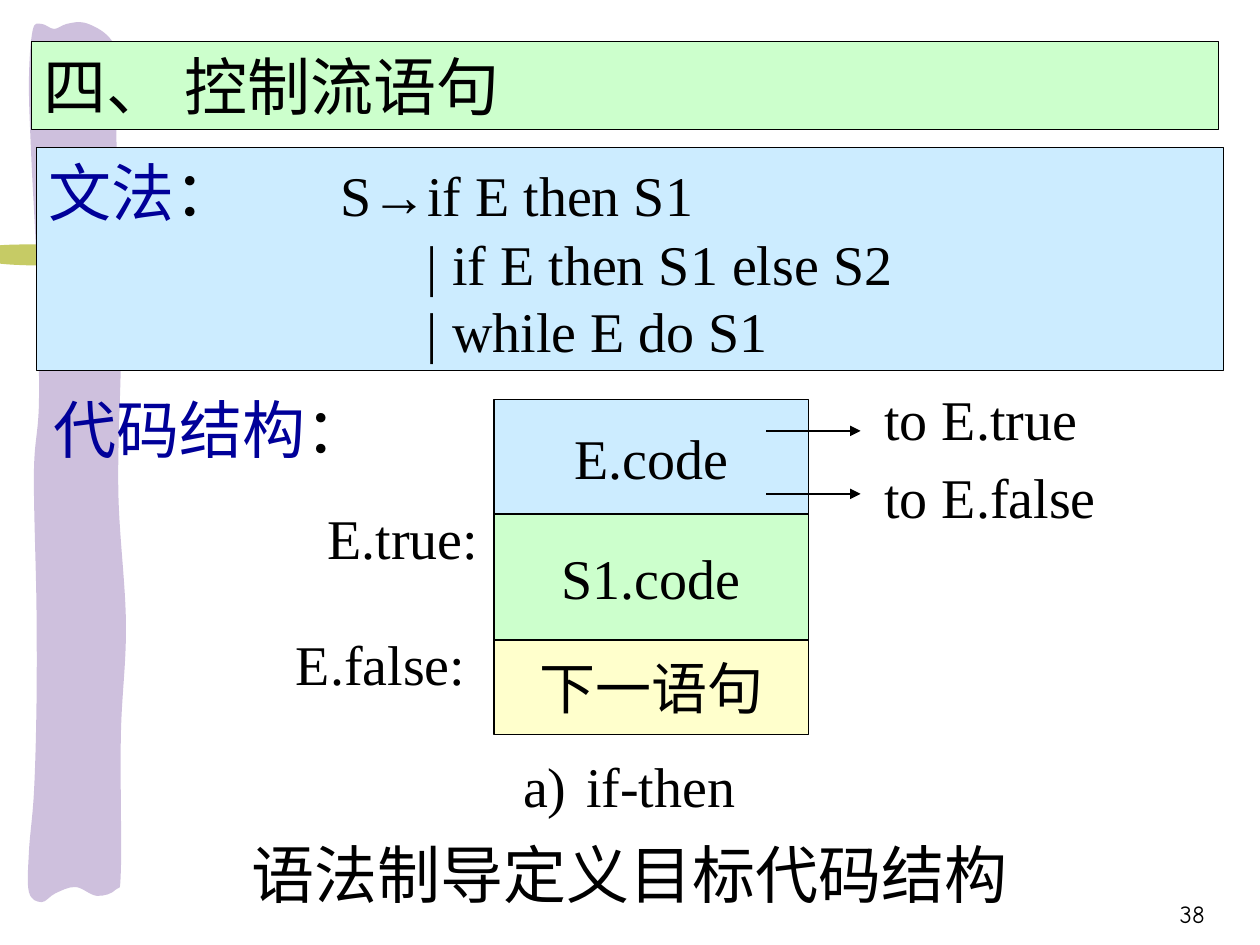
from dataclasses import dataclass

from lxml import etree
from pptx import Presentation
from pptx import util as u
from pptx.dml.color import RGBColor
from pptx.enum import shapes, text
from pptx.oxml.ns import qn


@dataclass(frozen=True)
class Theme:
    black: str = "000000"
    navy: str = "000099"
    blue: str = "CCECFF"
    green: str = "CCFFCC"
    yellow: str = "FFFFCC"
    olive: str = "C6CB65"
    purple: str = "9F83BD"
    serif: str = "Times New Roman"
    cjk: str = "Noto Sans CJK JP"
    hand: str = "Comic Neue"
    large: int = 36
    body: int = 32
    small: int = 14
    hairline: float = 0.25
    line: float = 0.75


THEME = Theme()
Inches = u.Inches

STRIPE = [
    (6.01, 1.95), (7.02, 1.96), (7.43, 1.98), (7.43, 2.02), (7.49, 2.06),
    (7.45, 2.08), (7.06, 2.1), (6.35, 2.1), (5.41, 2.09), (4.14, 2.09),
    (2.98, 2.1), (1.11, 2.11), (-0.02, 2.09), (-0.03, 1.95), (1.11, 1.95),
    (2.32, 1.94), (3.91, 1.94), (4.89, 1.94),
]
RIBBON = [
    (0.29, 5.61), (0.29, 4.81), (0.27, 3.75), (0.31, 3.17), (0.29, 2.1),
    (0.25, 1.27), (0.23, 0.65), (0.26, 0.24), (0.33, 0.19), (0.43, 0.23),
    (0.53, 0.19), (0.67, 0.18), (0.84, 0.27), (0.92, 0.41), (0.92, 0.71),
    (0.93, 1.29), (0.97, 1.95), (0.96, 2.86), (0.94, 3.91), (1, 4.95),
    (0.96, 5.83), (0.96, 6.9), (0.92, 7.06), (0.77, 7.11), (0.6, 7.04),
    (0.44, 7.09), (0.33, 7.16), (0.23, 7.08), (0.23, 6.76), (0.27, 6.29),
]


def rgb(color):
    return RGBColor.from_string(color)


def round_corners(outline):
    segments = list(outline._element.iter(qn("a:lnTo")))
    ends = [(int(s[0].get("x")), int(s[0].get("y"))) for s in segments]
    count = len(ends)
    for i, segment in enumerate(segments):
        before, start, end, after = (ends[(i + j) % count] for j in (-2, -1, 0, 1))
        leave = [b + (c - a) / 6 for a, b, c in zip(before, start, end)]
        arrive = [c - (d - b) / 6 for b, c, d in zip(start, end, after)]
        curve = etree.Element(qn("a:cubicBezTo"))
        for x, y in (leave, arrive, end):
            etree.SubElement(curve, qn("a:pt"), x=str(round(x)), y=str(round(y)))
        segment.getparent().replace(segment, curve)


def add_brush(page, knots, color, opacity=100):
    points = [(Inches(x), Inches(y)) for x, y in knots]
    builder = page.shapes.build_freeform(*points[0], scale=1.0)
    builder.add_line_segments(points[1:] + points[:1], close=True)
    brush = builder.convert_to_shape()
    round_corners(brush)
    brush.shadow.inherit = False
    brush.fill.solid()
    brush.fill.fore_color.rgb = rgb(color)
    brush.line.fill.background()
    if opacity < 100:
        tint = brush.fill._xPr.find(qn("a:solidFill"))[0]
        etree.SubElement(tint, qn("a:alpha"), val=str(opacity * 1000))


def add_span(para, words, size=THEME.body, color=THEME.black, font=THEME.serif):
    span = para.add_run()
    span.text = words
    span.font.size = u.Pt(size)
    span.font.name = font
    span.font.color.rgb = rgb(color)
    latin = span.font._element.find(qn("a:latin"))
    east = etree.Element(qn("a:ea"), typeface=THEME.cjk)
    latin.addnext(east)


def prepare_frame(box, anchor=text.MSO_ANCHOR.TOP, wrap=True):
    frame = box.text_frame
    frame.word_wrap = wrap
    frame.vertical_anchor = anchor
    frame.paragraphs[0].alignment = text.PP_ALIGN.LEFT
    return frame


def add_text(page, place, **frame_options):
    box = page.shapes.add_textbox(*map(Inches, place))
    return prepare_frame(box, **frame_options)


def add_panel(page, place, fill, line, **frame_options):
    panel = page.shapes.add_shape(shapes.MSO_SHAPE.RECTANGLE, *map(Inches, place))
    panel.shadow.inherit = False
    panel.fill.solid()
    panel.fill.fore_color.rgb = rgb(fill)
    panel.line.color.rgb = rgb(THEME.black)
    panel.line.width = u.Pt(line)
    return prepare_frame(panel, **frame_options)


def add_arrow(page, left, right, y):
    arrow = page.shapes.add_connector(
        shapes.MSO_CONNECTOR.STRAIGHT, Inches(left), Inches(y), Inches(right), Inches(y))
    arrow.line.color.rgb = rgb(THEME.black)
    arrow.line.width = u.Pt(THEME.line)
    etree.SubElement(arrow.line._get_or_add_ln(), qn("a:tailEnd"), type="triangle")
    etree.SubElement(arrow._element.spPr, qn("a:effectLst"))


def set_indent(para, left, first=0):
    props = para._p.get_or_add_pPr()
    props.set("marL", str(Inches(left)))
    props.set("indent", str(Inches(first)))
    return props


def add_grammar(page):
    frame = add_panel(page, (0.29, 1.17, 9.42, 1.77), THEME.blue, THEME.hairline)
    para = frame.paragraphs[0]
    tabs = etree.SubElement(para._p.get_or_add_pPr(), qn("a:tabLst"))
    etree.SubElement(tabs, qn("a:tab"), pos=str(Inches(2.31)), algn="l")
    add_span(para, "文法", THEME.large, THEME.navy, THEME.cjk)
    add_span(para, "：", THEME.large, font=THEME.cjk)
    add_span(para, "\tS→if E then S1")
    for rule in ("| if E then S1 else S2", "| while E do S1"):
        para = frame.add_paragraph()
        para.alignment = text.PP_ALIGN.LEFT
        set_indent(para, 3)
        add_span(para, rule)


def add_code_blocks(page):
    top = 3.17
    for words, height, fill in (("E.code", 0.91, THEME.blue),
                                ("S1.code", 1, THEME.green),
                                ("下一语句", 0.75, THEME.yellow)):
        frame = add_panel(page, (3.92, top, 2.5, height), fill, THEME.line,
                          anchor=text.MSO_ANCHOR.MIDDLE, wrap=False)
        frame.paragraphs[0].alignment = text.PP_ALIGN.CENTER
        add_span(frame.paragraphs[0], words)
        top += height


def add_caption(page):
    frame = add_text(page, (1.83, 6.06, 6.33, 1.21))
    name, summary = frame.paragraphs[0], frame.add_paragraph()
    for para in (name, summary):
        props = set_indent(para, 0.5, -0.5)
        if para is name:
            etree.SubElement(props, qn("a:buAutoNum"), type="alphaLcParenR")
        para.alignment = text.PP_ALIGN.CENTER
        para.line_spacing = 0.7
    summary.space_before = u.Pt(22.5)
    add_span(name, "if-then")
    add_span(summary, "语法制导定义目标代码结构", THEME.large)


def main():
    deck = Presentation()
    deck.slide_width, deck.slide_height = Inches(10), Inches(7.5)
    page = deck.slides.add_slide(deck.slide_layouts[6])

    add_brush(page, STRIPE, THEME.olive)
    add_brush(page, RIBBON, THEME.purple, opacity=50)
    add_grammar(page)
    add_code_blocks(page)
    for words, left, top, width in (("E.true:", 2.5, 3.95, 1.58),
                                    ("E.false:", 2.25, 4.95, 1.58),
                                    ("to E.true", 6.92, 3, 1.75),
                                    ("to E.false", 6.92, 3.62, 1.92)):
        add_span(add_text(page, (left, top, width, 0.64)).paragraphs[0], words)
    add_caption(page)

    heading = add_text(page, (0.33, 3.05, 3.08, 0.7)).paragraphs[0]
    add_span(heading, "代码结构", THEME.large, THEME.navy)
    add_span(heading, "：", THEME.large)
    for y in (3.42, 3.92):
        add_arrow(page, 6.08, 6.83, y)

    title = add_panel(page, (0.25, 0.33, 9.42, 0.7), THEME.green, THEME.hairline)
    add_span(title.paragraphs[0], "四、 控制流语句", THEME.large, font=THEME.cjk)

    number = add_text(page, (7.58, 6.92, 2.08, 0.5),
                      anchor=text.MSO_ANCHOR.BOTTOM).paragraphs[0]
    number.alignment = text.PP_ALIGN.RIGHT
    add_span(number, "38", THEME.small, font=THEME.hand)
    deck.save("out.pptx")


if __name__ == "__main__":
    main()
